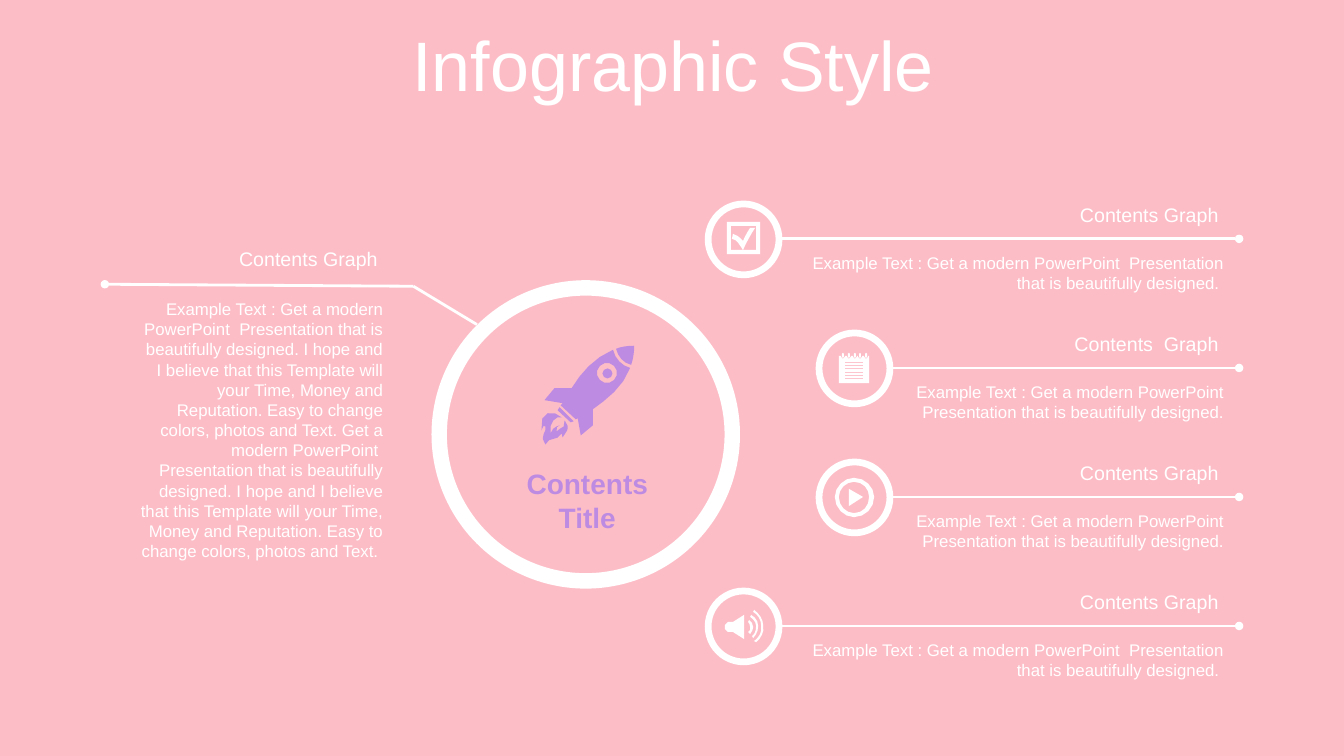
"""Build a pink infographic slide with a rocket hub and five captioned branches."""
import math
from dataclasses import dataclass

from lxml import etree
from pptx import Presentation
from pptx import util as u
from pptx.dml import color
from pptx.enum import shapes, text
from pptx.oxml import ns

PX = 9144
WHITE, PINK, PURPLE = "FFFFFF", "FDBDC7", "BE8BE2"
FONT = "Arial"
RING_SIZE = 77
CAPTION_RIGHT = 1224
LINE_RIGHT = 1229
CURVE_STEP = 5 * PX
MAX_STEPS = 4

SUMMARY = "Example Text : Get a modern PowerPoint  Presentation that is beautifully designed. "
PITCH = ("I hope and I believe that this Template will your Time, Money and Reputation. "
         "Easy to change colors, photos and Text. ")
STORY = SUMMARY + PITCH + SUMMARY.removeprefix("Example Text : ") + PITCH

ROCKET = [
    "557,414 C552,412 544,419 546,430 C548,424 552,423 555,422 C554,423 550,424 552,428 "
    "C555,423 561,427 560,417 C567,426 561,428 558,434 C557,433 558,427 557,430 "
    "C552,439 545,432 541,441 C534,433 543,428 541,423 C540,422 538,422 537,427 "
    "C534,406 550,407 557,414",
    "555,404 569,418 566,419 553,407",
    "606,367 C608,369 608,372 606,374 C604,376 601,376 599,374 C597,372 597,369 599,367 "
    "C601,365 604,365 606,367",
    "609,363 C605,359 599,359 595,363 C591,367 591,373 595,377 C599,381 605,381 609,377 "
    "C613,373 613,367 609,363",
    "608,347 C610,356 617,363 625,365 C618,384 602,396 588,406 588,422 576,432 573,415 "
    "571,416 556,402 558,400 540,397 550,385 567,385 C576,370 589,355 608,347",
    "629,343 C629,350 628,356 626,362 C618,360 613,354 611,346 C616,344 622,343 629,343",
]
CHECKBOX = [
    "726,224 725,224 725,248 737,248 C734,244 731,237 726,237 727,232 C733,234 734,236 737,239 "
    "C739,234 741,231 744,226 749,226 C745,232 740,241 737,248 750,248 750,224",
    "721,220 754,220 754,252 721,252",
]
PLAY = [
    "842,485 856,493 842,502",
    "847,478 C839,478 832,485 832,493 C832,502 839,509 847,509 C856,509 862,502 862,493 "
    "C862,485 856,478 847,478",
    "847,474 C858,474 867,483 867,493 C867,504 858,513 847,513 C837,513 828,504 828,493 "
    "C828,483 837,474 847,474",
]
SPEAKER = [
    "743,615 C745,616 747,619 747,622 C747,624 746,627 744,629 742,627 "
    "C744,626 745,624 744,622 C744,620 743,618 742,617",
    "745,610 C749,612 752,616 752,621 C752,626 750,630 747,633 746,631 "
    "C749,629 750,625 750,621 C750,617 747,614 744,612",
    "738,610 738,634 727,627 722,627 C721,627 719,626 719,624 719,620 "
    "C719,619 721,617 722,617 727,617",
    "748,605 C753,609 757,614 757,621 C758,627 755,633 750,637 748,636 "
    "C753,632 756,627 755,621 C755,615 752,610 747,607",
]


@dataclass(frozen=True)
class Branch:
    """One ring on the right with its icon and caption."""
    ring_left: int
    caption_left: int
    heading: str
    icon: list[str]


def notepad() -> list[str]:
    """Return the contours of a ruled notepad with five binding loops."""
    rules = [f"838,{y} 856,{y} 856,{y + 1} 838,{y + 1}"
             for y in (round(359 + 3.2 * i) for i in range(6))]
    loops = [round(836 + 5.8 * i) for i in range(5)]
    notches = " ".join(f"{x - 2},353 {x - 2},354 {x},356 {x + 2},354 {x + 2},353" for x in loops)
    bindings = [f"{x},350 {x + 1},351 {x + 1},354 {x},355 {x - 1},354 {x - 1},351" for x in loops]
    return [*rules, f"832,353 {notches} 862,353 862,380 832,380", *bindings]


def rgb(hex_code: str) -> color.RGBColor:
    """Turn a hex string into a colour."""
    return color.RGBColor.from_string(hex_code)


def box(*lengths: int) -> list[u.Emu]:
    """Convert px lengths to EMU."""
    return [u.Emu(length * PX) for length in lengths]


def flatten(contour: str) -> list[tuple[float, float]]:
    """Turn points and C-marked cubic curves into EMU vertices, few on short curves."""
    marks = contour.split()
    pairs = [tuple(int(n) * PX for n in mark.lstrip("C").split(",")) for mark in marks]
    vertices, i = [], 0
    while i < len(marks):
        if marks[i].startswith("C"):
            corners = (vertices[-1], *pairs[i:i + 3])
            steps = min(MAX_STEPS, math.ceil(math.dist(corners[0], corners[3]) / CURVE_STEP))
            for step in range(1, steps + 1):
                t = step / steps
                weights = ((1 - t) ** 3, 3 * t * (1 - t) ** 2, 3 * t * t * (1 - t), t ** 3)
                vertices.append(tuple(sum(w * c[axis] for w, c in zip(weights, corners))
                                      for axis in (0, 1)))
            i += 3
        else:
            vertices.append(pairs[i])
            i += 1
    return vertices


def paint(shape, fill: str) -> None:
    """Give a shape a flat fill without line or shadow."""
    shape.shadow.inherit = False
    shape.fill.solid()
    shape.fill.fore_color.rgb = rgb(fill)
    shape.line.fill.background()


def draw_icon(canvas, contours: list[str], fill: str) -> None:
    """Draw contours as one filled freeform."""
    first, *others = [flatten(contour) for contour in contours]
    pen = canvas.build_freeform(*first[0], scale=1.0)
    pen.add_line_segments(first[1:], close=True)
    for vertices in others:
        pen.move_to(*vertices[0])
        pen.add_line_segments(vertices[1:], close=True)
    paint(pen.convert_to_shape(), fill)


def draw_ring(canvas, left: int, top: int, size: int, thickness: float) -> None:
    """Draw a white ring."""
    ring = canvas.add_shape(shapes.MSO_SHAPE.DONUT, *box(left, top, size, size))
    ring.adjustments[0] = thickness
    paint(ring, WHITE)


def draw_line(canvas, ends: tuple[int, int, int, int], dot: str = "") -> None:
    """Draw a white line, with an oval at headEnd or tailEnd if asked."""
    line = canvas.add_connector(shapes.MSO_CONNECTOR.STRAIGHT, *box(*ends))
    line.line.color.rgb = rgb(WHITE)
    line.line.width = u.Pt(2)
    if dot:
        etree.SubElement(line.line._get_or_add_ln(), ns.qn(f"a:{dot}"), type="oval")
    etree.SubElement(line._element.spPr, ns.qn("a:effectLst"))


def style_text(frame, words: str, size: int, hue: str, align, bold: bool = False) -> None:
    """Fill a text frame and format all its runs."""
    frame.text = words
    frame.word_wrap = True
    frame.vertical_anchor = text.MSO_ANCHOR.MIDDLE
    for paragraph in frame.paragraphs:
        paragraph.alignment = align
        for run in paragraph.runs:
            run.font.name, run.font.size, run.font.bold = FONT, u.Pt(size), bold
            run.font.color.rgb = rgb(hue)


def draw_text(canvas, place: tuple[int, int, int, int], words: str, size: int,
              hue: str = WHITE, align=text.PP_ALIGN.RIGHT, bold: bool = False) -> None:
    """Add a text box that grows with its text."""
    frame = canvas.add_textbox(*box(*place)).text_frame
    style_text(frame, words, size, hue, align, bold)
    frame.auto_size = text.MSO_AUTO_SIZE.SHAPE_TO_FIT_TEXT


def draw_caption(canvas, left: int, top: int, width: int, heading: str,
                 body: str, body_height: int) -> None:
    """Group a heading with the body text below it."""
    caption = canvas.add_group_shape().shapes
    draw_text(caption, (left, top + 50, width, body_height), body, 12)
    draw_text(caption, (left, top, width, 34), heading, 14)


def main() -> None:
    """Build and save the slide."""
    deck = Presentation()
    deck.slide_width, deck.slide_height = box(1333, 750)
    slide = deck.slides.add_slide(deck.slide_layouts[5])
    slide.background.fill.solid()
    slide.background.fill.fore_color.rgb = rgb(PINK)
    canvas = slide.shapes

    title = canvas.title
    title.left, title.top, title.width, title.height = box(35, 31, 1266, 79)
    style_text(title.text_frame, "Infographic Style", 50, WHITE, text.PP_ALIGN.CENTER)
    title.text_frame.auto_size = text.MSO_AUTO_SIZE.NONE
    title.text_frame.paragraphs[0].line_spacing = 0.8
    title.text_frame.paragraphs[0].space_before = u.Pt(10)

    draw_ring(canvas, 428, 278, 306, 0.05)
    draw_caption(canvas, 126, 240, 264, "Contents Graph ", STORY, 273)
    draw_line(canvas, (104, 282, 410, 284), "headEnd")
    draw_line(canvas, (410, 284, 473, 322))
    draw_text(canvas, (503, 458, 159, 77), "Contents\nTitle", 20, PURPLE,
              text.PP_ALIGN.CENTER, bold=True)
    draw_icon(canvas, ROCKET, PURPLE)

    branches = [
        Branch(699, 781, "Contents Graph ", CHECKBOX),
        Branch(809, 897, "Contents  Graph ", notepad()),
        Branch(809, 897, "Contents Graph ", PLAY),
        Branch(699, 781, "Contents Graph ", SPEAKER),
    ]
    for row, branch in enumerate(branches):
        top = 199 + 128 * row
        draw_ring(canvas, branch.ring_left, top, RING_SIZE, 0.087)
        draw_line(canvas, (branch.ring_left + RING_SIZE, top + 38, LINE_RIGHT, top + 38), "tailEnd")
        draw_caption(canvas, branch.caption_left, top - 3, CAPTION_RIGHT - branch.caption_left,
                     branch.heading, SUMMARY, 50)
        draw_icon(canvas, branch.icon, WHITE)
    deck.save("out.pptx")


if __name__ == "__main__":
    main()
